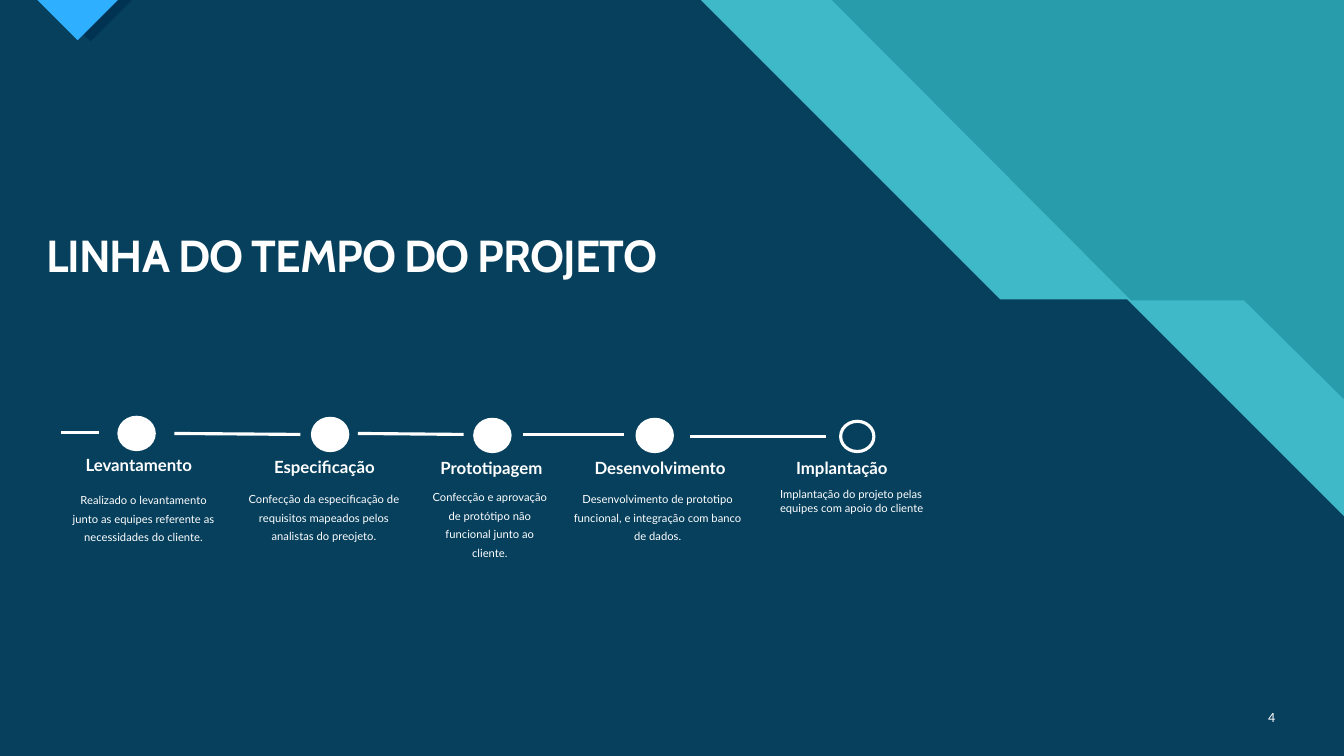
from lxml import etree
from pptx import Presentation
from pptx.dml.color import RGBColor
from pptx.enum.shapes import MSO_CONNECTOR, MSO_SHAPE
from pptx.enum.text import MSO_ANCHOR, PP_ALIGN
from pptx.oxml.ns import qn
from pptx.util import Emu, Pt

PX = 9144  # EMU per px, 100 px to the inch
WIDTH, HEIGHT = 1333, 750
LEFT, CENTER, RIGHT = PP_ALIGN.LEFT, PP_ALIGN.CENTER, PP_ALIGN.RIGHT
TOP, MIDDLE = MSO_ANCHOR.TOP, MSO_ANCHOR.MIDDLE
OVAL, STRAIGHT = MSO_SHAPE.OVAL, MSO_CONNECTOR.STRAIGHT
COLORS = {
    "teal": "299CAB",
    "aqua": "47C3D3",
    "navy": "003352",
    "blue": "2FAFFF",
    "white": "FFFFFF",
}


def px(length):
    return Emu(length * PX)


def color(name):
    return RGBColor.from_string(COLORS[name])


class SlideBuilder:
    """Holds the slide and the shared style: white lines and white text."""

    stroke = Pt(2.25)

    def __init__(self, slide):
        self.slide = slide
        self.shapes = slide.shapes

    def background(self, fill):
        self.slide.background.fill.solid()
        self.slide.background.fill.fore_color.rgb = color(fill)

    def polygon(self, points, fill, opacity=100):
        builder = self.shapes.build_freeform(*points[0], scale=PX)
        builder.add_line_segments(points[1:], close=True)
        area = builder.convert_to_shape()
        area.shadow.inherit = False
        area.line.fill.background()
        area.fill.solid()
        area.fill.fore_color.rgb = color(fill)
        if opacity < 100:
            tint = area.fill._xPr.find(qn("a:solidFill"))[0]
            etree.SubElement(tint, qn("a:alpha")).set("val", str(opacity * 1000))

    def dot(self, x, y, w, h, filled):
        marker = self.shapes.add_shape(OVAL, px(x), px(y), px(w), px(h))
        marker.shadow.inherit = False
        marker.line.color.rgb = color("white")
        marker.line.width = self.stroke
        if filled:
            marker.fill.solid()
            marker.fill.fore_color.rgb = color("white")
        else:
            marker.fill.background()

    def line(self, x1, y1, x2, y2):
        segment = self.shapes.add_connector(STRAIGHT, px(x1), px(y1), px(x2), px(y2))
        segment.line.color.rgb = color("white")
        segment.line.width = self.stroke
        etree.SubElement(segment._element.spPr, qn("a:effectLst"))

    def text(self, box, words, font, size, bold=False, align=LEFT,
             anchor=TOP, spacing=None, tracking=None):
        frame = self.shapes.add_textbox(*map(px, box)).text_frame
        frame.word_wrap = True
        frame.vertical_anchor = anchor
        paragraph = frame.paragraphs[0]
        paragraph.alignment = align
        paragraph.line_spacing = spacing
        run = paragraph.add_run()
        run.text = words
        paragraph.font.name = font
        paragraph.font.size = Pt(size)
        paragraph.font.bold = bold
        paragraph.font.color.rgb = color("white")
        if tracking is not None:
            run._r.get_or_add_rPr().set("spc", str(tracking))


# Stage: dot box, filled, heading box, heading, detail box, detail, align, spacing
STAGES = [
    ((118, 414, 35, 32), True, (75, 446, 152, 30), "Levantamento",
     (57, 479, 171, 66),
     "Realizado o levantamento junto as equipes referente as necessidades do cliente.",
     CENTER, 1.4),
    ((310, 415, 35, 32), True, (262, 448, 152, 30), "Especificação",
     (228, 478, 187, 64),
     "Confecção da especificação de requisitos mapeados pelos analistas do preojeto.",
     CENTER, 1.4),
    ((471, 416, 35, 32), True, (427, 449, 142, 30), "Prototipagem",
     (418, 476, 136, 83),
     "Confecção e aprovação de protótipo não funcional junto ao cliente.",
     CENTER, 1.4),
    ((632, 416, 35, 32), True, (580, 449, 177, 30), "Desenvolvimento",
     (553, 478, 199, 64),
     "Desenvolvimento de prototipo funcional, e integração com banco de dados.",
     CENTER, 1.4),
    ((834, 418, 33, 30), False, (780, 449, 114, 30), "Implantação",
     (764, 479, 199, 37),
     "Implantação do projeto pelas equipes com apoio do cliente",
     LEFT, None),
]
LINKS = [
    (61, 429, 98, 429),
    (173, 430, 298, 431),
    (355, 430, 460, 431),
    (519, 431, 619, 431),
    (685, 433, 819, 433),
]


def main():
    prs = Presentation()
    prs.slide_width, prs.slide_height = Emu(12192000), px(HEIGHT)
    page = SlideBuilder(prs.slides.add_slide(prs.slide_layouts[6]))

    # Layered diagonal backdrop
    page.background("teal")
    page.polygon([(0, 0), (825, 0), (1122, 298), (1234, 298), (1334, 397),
                  (1334, HEIGHT), (0, HEIGHT)], "aqua", 74)
    page.polygon([(0, 0), (695, 0), (992, 297), (1118, 297), (1334, 513),
                  (1334, HEIGHT), (0, HEIGHT)], "navy", 90)

    # Corner arrow with its shade
    page.polygon([(48, 0), (131, 0), (90, 41)], "navy")
    page.polygon([(37, 0), (117, 0), (77, 40)], "blue")

    # Title and page number
    page.text((36, 227, 1226, 59), "LINHA DO TEMPO DO PROJETO", "Cabin", 32,
              bold=True, spacing=0.9, tracking=-70)
    page.text((1231, 691, 44, 40), "4", "Calibri", 10, align=RIGHT, anchor=MIDDLE)

    # Timeline
    for link in LINKS:
        page.line(*link)
    for dot, filled, heading_box, heading, detail_box, detail, align, spacing in STAGES:
        page.dot(*dot, filled)
        page.text(heading_box, heading, "Lato", 12, bold=True)
        page.text(detail_box, detail, "Lato", 8, align=align, spacing=spacing)

    prs.save("out.pptx")


if __name__ == "__main__":
    main()
